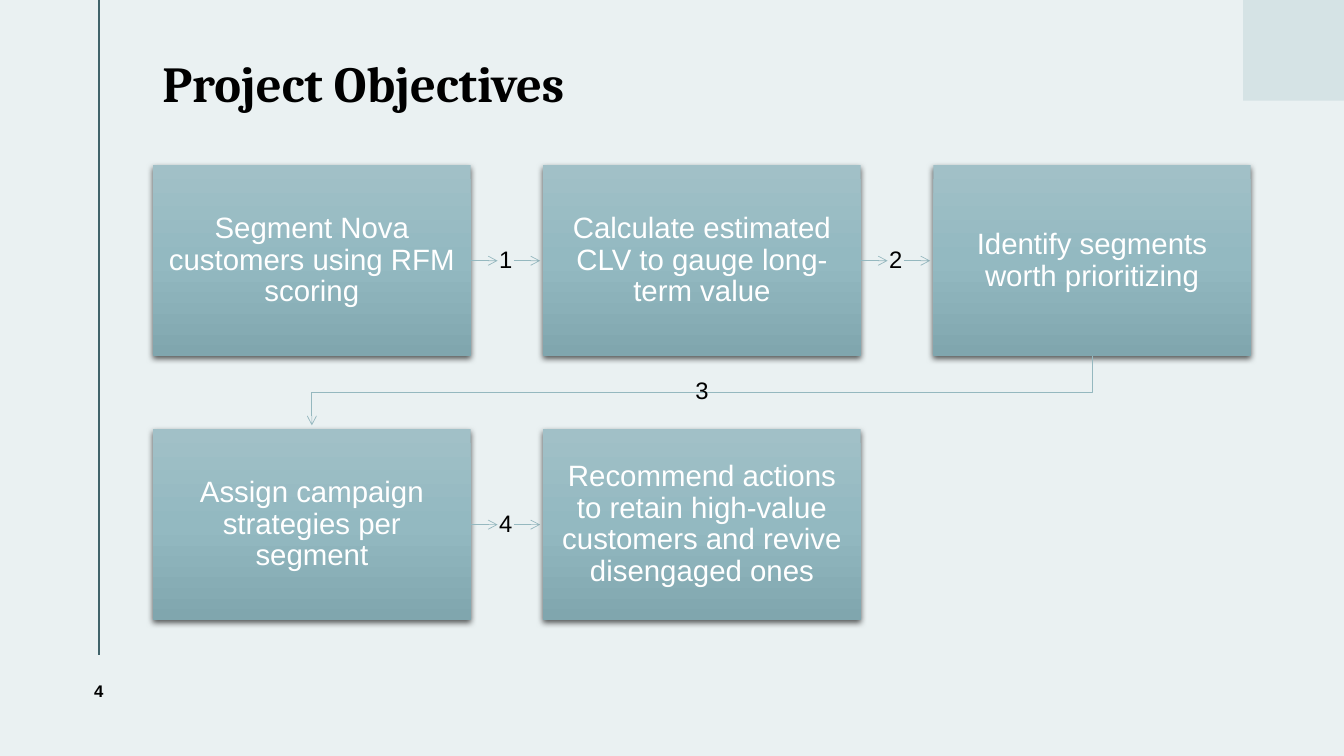
"""Builds the project objectives slide with its five linked steps."""
import copy

import pptx
import pptx.dml.color
import pptx.enum.shapes
import pptx.enum.text
import pptx.oxml
import pptx.oxml.ns
import pptx.util

Cm = pptx.util.Cm
Pt = pptx.util.Pt
Kind = pptx.enum.shapes.MSO_SHAPE
Align = pptx.enum.text.PP_ALIGN
RIGHT = 3

HUES = {
    "back": "EAF1F2", "rule": "40636A", "patch": "D5E3E5", "arrow": "95B8BF",
    "top": "A1C0C7", "mid": "93B9C1", "low": "80A6AE",
    "ink": "000000", "white": "FFFFFF",
}
STEPS = [
    "Segment Nova customers using RFM scoring",
    "Calculate estimated CLV to gauge long-term value",
    "Identify segments worth prioritizing",
    "Assign campaign strategies per segment",
    "Recommend actions to retain high-value customers and revive disengaged ones",
]
COLS = 3
LEFT, TOP = 3.86, 4.17
WIDE, HIGH = 8.0, 4.8
STEP_X, STEP_Y = 9.83, 6.65
DASH, SPAN, DIGIT, TALL = 0.68, 1.75, 0.41, 0.69


class Deck:
    def __init__(self):
        self.show = pptx.Presentation()
        self.show.slide_width = Cm(33.87)
        self.show.slide_height = Cm(19.05)
        self.slide = self.show.slides.add_slide(self.show.slide_layouts[6])
        self.shapes = self.slide.shapes
        fill = self.slide.background.fill
        fill.solid()
        fill.fore_color.rgb = self.hue("back")

    def hue(self, name):
        return pptx.dml.color.RGBColor.from_string(HUES[name])

    def xml(self, text):
        space = pptx.oxml.ns.nsdecls("a")
        return pptx.oxml.parse_xml(text.replace(" ", f" {space} ", 1))

    def words(self, shape, text, size, hue="ink", font="Arial", bold=False,
              align=Align.CENTER, pads=(0, 0, 0, 0), lines=0.9):
        frame = shape.text_frame
        frame.word_wrap = True
        frame.vertical_anchor = pptx.enum.text.MSO_ANCHOR.MIDDLE
        (frame.margin_left, frame.margin_top,
         frame.margin_right, frame.margin_bottom) = map(Cm, pads)
        para = frame.paragraphs[0]
        para.alignment = align
        para.line_spacing = lines
        run = para.add_run()
        run.text = text
        run.font.size = Pt(size)
        run.font.name = font
        run.font.bold = bold
        run.font.color.rgb = self.hue(hue)
        return run

    def text(self, x, y, wide, high, text, size, **style):
        box = self.shapes.add_textbox(Cm(x), Cm(y), Cm(wide), Cm(high))
        return self.words(box, text, size, **style)

    def rect(self, x, y, wide, high):
        shape = self.shapes.add_shape(
            Kind.RECTANGLE, Cm(x), Cm(y), Cm(wide), Cm(high))
        shape.line.fill.background()
        shape.shadow.inherit = False
        return shape

    def patch(self, x, y, wide, high, hue):
        shape = self.rect(x, y, wide, high)
        shape.fill.solid()
        shape.fill.fore_color.rgb = self.hue(hue)

    def card(self, x, y, text):
        shape = self.rect(x, y, WIDE, HIGH)
        shape.fill.gradient()
        shape.fill.gradient_angle = 270
        props = shape._element.spPr
        stops = props.find(".//" + pptx.oxml.ns.qn("a:gsLst"))
        stops.append(copy.deepcopy(stops[0]))
        for i, name in enumerate(("top", "mid", "low")):
            stop = shape.fill.gradient_stops[i]
            stop.color.rgb = self.hue(name)
            stop.position = i / 2
        props.find(pptx.oxml.ns.qn("a:effectLst")).append(self.xml(
            '<a:outerShdw blurRad="57150" dist="19050" dir="5400000" '
            'algn="ctr" rotWithShape="0"><a:srgbClr val="000000">'
            '<a:alpha val="63000"/></a:srgbClr></a:outerShdw>'))
        self.words(shape, text, 21, hue="white", pads=(0.38, 0.41, 0.38, 0.41))
        return shape

    def ink(self, shape, hue, width, head):
        shape.line.color.rgb = self.hue(hue)
        shape.line.width = Pt(width)
        if head:
            shape.line._get_or_add_ln().append(
                self.xml('<a:tailEnd type="arrow"/>'))

    def line(self, x1, y1, x2, y2, hue="arrow", width=0.5, head=True):
        line = self.shapes.add_connector(
            pptx.enum.shapes.MSO_CONNECTOR.STRAIGHT,
            Cm(x1), Cm(y1), Cm(x2), Cm(y2))
        self.ink(line, hue, width, head)
        line._element.spPr.append(self.xml("<a:effectLst />"))
        return line

    def bend(self, points):
        (x, y), *rest = [(Cm(a), Cm(b)) for a, b in points]
        form = self.shapes.build_freeform(x, y)
        form.add_line_segments(rest, close=False)
        shape = form.convert_to_shape()
        shape.fill.background()
        shape.shadow.inherit = False
        self.ink(shape, "arrow", 0.5, True)

    def label(self, x, y, wide, num):
        self.text(x - wide / 2, y - TALL / 2, wide, TALL, str(num), 17,
                  pads=(0.02, 0, 0.02, 0))

    def link(self, card, x, y, num):
        first = self.line(x, y, x + DASH, y)
        first.begin_connect(card, RIGHT)
        self.line(x + DASH + DIGIT, y, x + SPAN, y)
        self.label(x + DASH + DIGIT / 2, y, DIGIT, num)

    def turn(self, x, y, num):
        end = x - (COLS - 1) * STEP_X
        fold = y + 0.93
        self.bend([(x, y), (x, fold), (end, fold), (end, y + SPAN)])
        self.label((x + end) / 2, fold - 0.03, 1.0, num)


def main():
    deck = Deck()
    deck.line(2.5, 0, 2.5, 16.5, hue="rule", width=1.5, head=False)
    deck.patch(31.33, 0, 2.54, 2.54, "patch")
    deck.text(4.09, 0.2, 12.85, 3.96, "Project Objectives", 36, font="Cambria",
              bold=True, align=Align.LEFT, pads=(0, 0.13, 0.25, 0.13))
    page = deck.text(1.14, 16.51, 2.7, 1.8, "4", 12, bold=True, lines=1.0)
    page.font._element.set("spc", "150")
    for i, text in enumerate(STEPS):
        row, col = divmod(i, COLS)
        x, y = LEFT + col * STEP_X, TOP + row * STEP_Y
        card = deck.card(x, y, text)
        if i == len(STEPS) - 1:
            break
        if col == COLS - 1:
            deck.turn(x + WIDE / 2, y + HIGH, i + 1)
        else:
            deck.link(card, x + WIDE, y + HIGH / 2, i + 1)
    deck.show.save("out.pptx")


if __name__ == "__main__":
    main()
